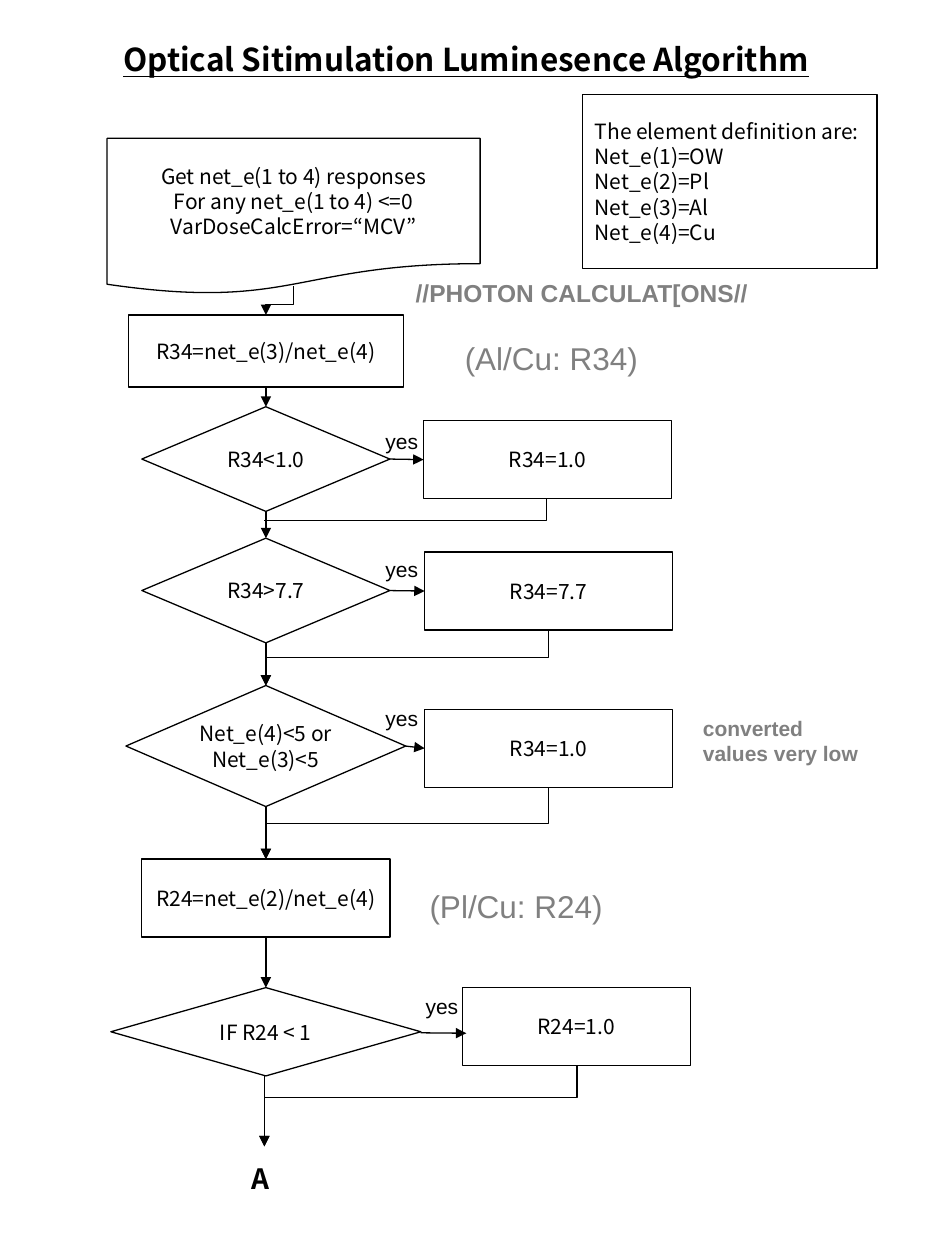
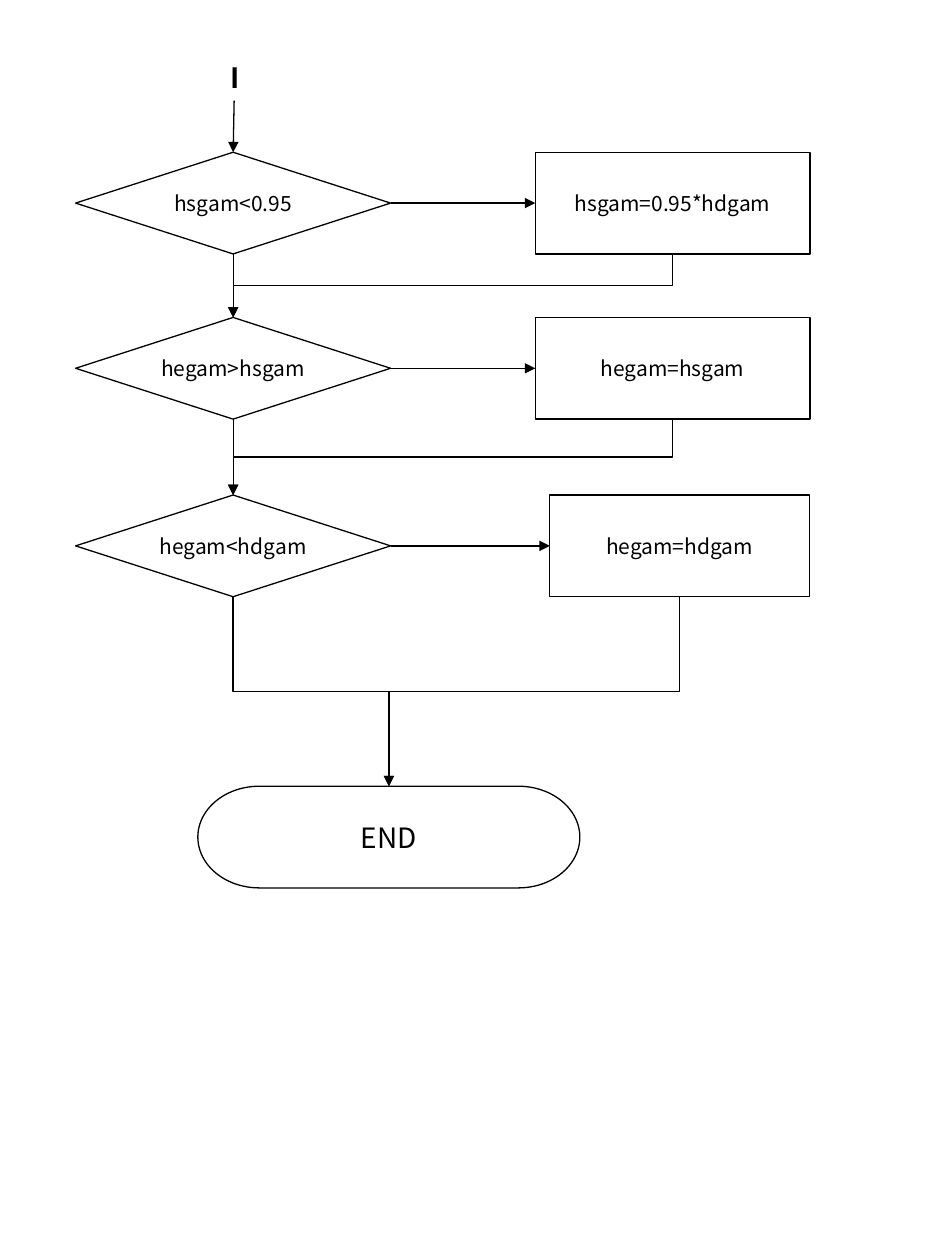
from itertools import pairwise

from lxml import etree
from pptx import Presentation
from pptx import util as u
from pptx.dml.color import RGBColor
from pptx.enum import shapes, text
from pptx.oxml import ns

COLOURS = {"ink": "000000", "note": "808080"}
FLOW_FONT, NOTE_FONT = "Noto Sans CJK KR", "Arial"
KINDS = {
    "document": shapes.MSO_SHAPE.FLOWCHART_DOCUMENT,
    "process": shapes.MSO_SHAPE.FLOWCHART_PROCESS,
    "decision": shapes.MSO_SHAPE.FLOWCHART_DECISION,
    "terminator": shapes.MSO_SHAPE.FLOWCHART_TERMINATOR,
    "legend": shapes.MSO_SHAPE.RECTANGLE,
}
TOP, LEFT, BOTTOM, RIGHT = range(4)

TITLE = dict(font=FLOW_FONT, size=18, bold=True, underline=True, before=11.2)
LETTER = dict(font=FLOW_FONT, size=16, bold=True, centred=True, before=10)
RATIO = dict(font=NOTE_FONT, size=18, colour="note", before=11.2)
HEADING = dict(font=NOTE_FONT, size=14, bold=True, colour="note", before=8.8)
REMARK = dict(font=NOTE_FONT, size=12, bold=True, colour="note", before=7.5)
ANSWER = dict(font=NOTE_FONT, size=12, before=7.5)

# Nodes: kind, centre x, top, width, height, lines. Labels: left, top, width, height, text, style.
PHOTON = {
    "nodes": {
        "responses": ("document", 5.92, 2.79, 7.52, 3.15,
                      ["Get net_e(1 to 4) responses", "For any net_e(1 to 4) <=0",
                       "VarDoseCalcError=“MCV”"]),
        "ratio34": ("process", 5.36, 6.35, 5.54, 1.45, ["R34=net_e(3)/net_e(4)"]),
        "low34": ("decision", 5.36, 8.2, 5, 2.11, ["R34<1.0"]),
        "set_low34": ("process", 11.04, 8.48, 5, 1.57, ["R34=1.0"]),
        "high34": ("decision", 5.36, 10.85, 5, 2.11, ["R34>7.7"]),
        "set_high34": ("process", 11.06, 11.13, 5, 1.57, ["R34=7.7"]),
        "weak": ("decision", 5.36, 13.82, 5.64, 2.44, ["Net_e(4)<5 or", "Net_e(3)<5"]),
        "set_weak": ("process", 11.06, 14.3, 5, 1.57, ["R34=1.0"]),
        "ratio24": ("process", 5.36, 17.32, 5, 1.57, ["R24=net_e(2)/net_e(4)"]),
        "low24": ("decision", 5.36, 19.91, 6.25, 1.78, ["IF R24 < 1"]),
        "set_low24": ("process", 11.62, 19.91, 4.6, 1.57, ["R24=1.0"]),
        "elements": ("legend", 14.71, 1.91, 5.94, 3.5,
                     ["The element definition are:", "Net_e(1)=OW", "Net_e(2)=Pl",
                      "Net_e(3)=Al", "Net_e(4)=Cu"]),
    },
    "spine": ["ratio34", "low34", "high34", "weak", "ratio24", "low24"],
    "branches": [("low34", "set_low34"), ("high34", "set_high34"), ("weak", "set_weak")],
    "arrows": [((8.48, 20.82), (9.4, 20.83)), ((5.33, 21.69), (5.33, 23.11))],
    "elbows": [((5.92, 5.77), (5.36, 6.35), 0.64), ((11.05, 12.7), (5.36, 13.82), 0.5),
               ((11.05, 15.88), (5.36, 17.32), 0.5), ((11.63, 21.49), (5.33, 23.11), 0.39),
               ((11.02, 10.06), (5.33, 10.49), None)],
    "labels": [
        (2.24, 0.69, 14.6, 1.78, "Optical Sitimulation Luminesence Algorithm", TITLE),
        (9.12, 6.71, 5.41, 1.02, "(Al/Cu: R34)", RATIO),
        (8.41, 17.75, 4.52, 1.02, "(Pl/Cu: R24)", RATIO),
        (13.92, 14.3, 3.81, 1.27, "converted values very low", REMARK),
        (8.13, 5.49, 7.8, 0.86, "//PHOTON CALCULAT[ONS//", HEADING),
        (4.32, 23.29, 1.88, 0.94, "A", LETTER),
    ] + [(left, top, 1.4, 0.76, "yes", ANSWER)
         for left, top in [(7.52, 8.51), (7.52, 11.1), (7.52, 14.1), (8.33, 19.91)]],
}
GAMMA = {
    "nodes": {
        "shallow": ("decision", 4.7, 3.07, 6.35, 2.05, ["hsgam<0.95"]),
        "set_shallow": ("process", 13.56, 3.07, 5.54, 2.05, ["hsgam=0.95*hdgam"]),
        "eye_high": ("decision", 4.7, 6.4, 6.35, 2.05, ["hegam>hsgam"]),
        "set_eye_high": ("process", 13.56, 6.4, 5.54, 2.05, ["hegam=hsgam"]),
        "eye_low": ("decision", 4.7, 9.98, 6.35, 2.05, ["hegam<hdgam"]),
        "set_eye_low": ("process", 13.7, 9.98, 5.23, 2.05, ["hegam=hdgam"]),
        "end": ("terminator", 7.84, 15.85, 7.7, 2.05, ["END"]),
    },
    "spine": ["shallow", "eye_high", "eye_low"],
    "branches": [("shallow", "set_shallow"), ("eye_high", "set_eye_high"),
                 ("eye_low", "set_eye_low")],
    "arrows": [((4.72, 2.03), (4.7, 3.07))],
    "elbows": [((13.56, 5.12), (4.7, 6.4), 0.5), ((13.56, 8.45), (4.7, 9.98), 0.5),
               ((4.7, 12.03), (7.84, 15.85), 0.5), ((13.7, 12.03), (7.84, 15.85), 0.5)],
    "labels": [(3.53, 1.09, 2.41, 0.94, "I", LETTER)],
}


def set_font(para, name, size, colour="ink", bold=False, underline=False):
    para.font.name = name
    para.font.size = u.Pt(size)
    para.font.bold = bold
    para.font.underline = underline
    para.font.color.rgb = RGBColor.from_string(COLOURS[colour])


def style_line(line):
    line.color.rgb = RGBColor.from_string(COLOURS["ink"])
    line.width = u.Pt(0.75)


def add_node(page, kind, centre, top, width, height, lines):
    box = page.shapes.add_shape(KINDS[kind], u.Cm(centre - width / 2), u.Cm(top),
                                u.Cm(width), u.Cm(height))
    box.shadow.inherit = False
    box.fill.background()
    style_line(box.line)
    frame = box.text_frame
    frame.word_wrap = False
    frame.vertical_anchor = text.MSO_ANCHOR.MIDDLE
    frame.text = "\n".join(lines)
    for para in frame.paragraphs:
        para.alignment = text.PP_ALIGN.LEFT if kind == "legend" else text.PP_ALIGN.CENTER
        set_font(para, FLOW_FONT, 16 if kind == "terminator" else 12)
    return box


def add_label(page, left, top, width, height, words, style):
    box = page.shapes.add_textbox(u.Cm(left), u.Cm(top), u.Cm(width), u.Cm(height))
    frame = box.text_frame
    frame.word_wrap = True
    frame.auto_size = text.MSO_AUTO_SIZE.SHAPE_TO_FIT_TEXT
    frame.text = words
    para = frame.paragraphs[0]
    para.space_before = u.Pt(style["before"])
    if style.get("centred"):
        para.alignment = text.PP_ALIGN.CENTER
    set_font(para, style["font"], style["size"], style.get("colour", "ink"),
             style.get("bold", False), style.get("underline", False))


def add_line(page, kind, start, end, arrow=True):
    line = page.shapes.add_connector(kind, *map(u.Cm, (*start, *end)))
    style_line(line.line)
    if arrow:
        etree.SubElement(line.line._get_or_add_ln(), ns.qn("a:tailEnd"), type="triangle")
    etree.SubElement(line._element.spPr, ns.qn("a:effectLst"))
    return line


def add_arrow(page, start, end):
    return add_line(page, shapes.MSO_CONNECTOR.STRAIGHT, start, end)


def join(page, source, source_side, target, target_side):
    line = add_arrow(page, (0, 0), (1, 1))
    line.begin_connect(source, source_side)
    line.end_connect(target, target_side)


def add_elbow(page, start, end, bend):
    (x1, y1), (x2, y2) = start, end
    drop, reach = y2 - y1, abs(x2 - x1)
    left, top = (x1 + x2 - drop) / 2, (y1 + y2 - reach) / 2
    line = add_line(page, shapes.MSO_CONNECTOR.ELBOW, (left, top),
                    (left + drop, top + reach), arrow=bend is not None)
    frame = line._element.spPr.find(ns.qn("a:xfrm"))
    frame.set("rot", str((90 if x2 < x1 else 270) * 60000))
    if x2 > x1:
        frame.set("flipH", "1")
    geometry = line._element.spPr.find(ns.qn("a:prstGeom"))
    if bend is None:
        geometry.set("prst", "bentConnector2")
    else:
        guides = geometry.find(ns.qn("a:avLst"))
        etree.SubElement(guides, ns.qn("a:gd"), name="adj1", fmla=f"val {round(bend * 100000)}")


def build_page(deck, chart):
    page = deck.slides.add_slide(deck.slide_layouts[6])
    nodes = {name: add_node(page, *node) for name, node in chart["nodes"].items()}
    for upper, lower in pairwise(chart["spine"]):
        join(page, nodes[upper], BOTTOM, nodes[lower], TOP)
    for test, result in chart["branches"]:
        join(page, nodes[test], RIGHT, nodes[result], LEFT)
    for start, end in chart["arrows"]:
        add_arrow(page, start, end)
    for elbow in chart["elbows"]:
        add_elbow(page, *elbow)
    for label in chart["labels"]:
        add_label(page, *label)


def main():
    deck = Presentation()
    deck.slide_width, deck.slide_height = u.Cm(19.05), u.Cm(25.4)
    for chart in (PHOTON, GAMMA):
        build_page(deck, chart)
    deck.save("out.pptx")


if __name__ == "__main__":
    main()
